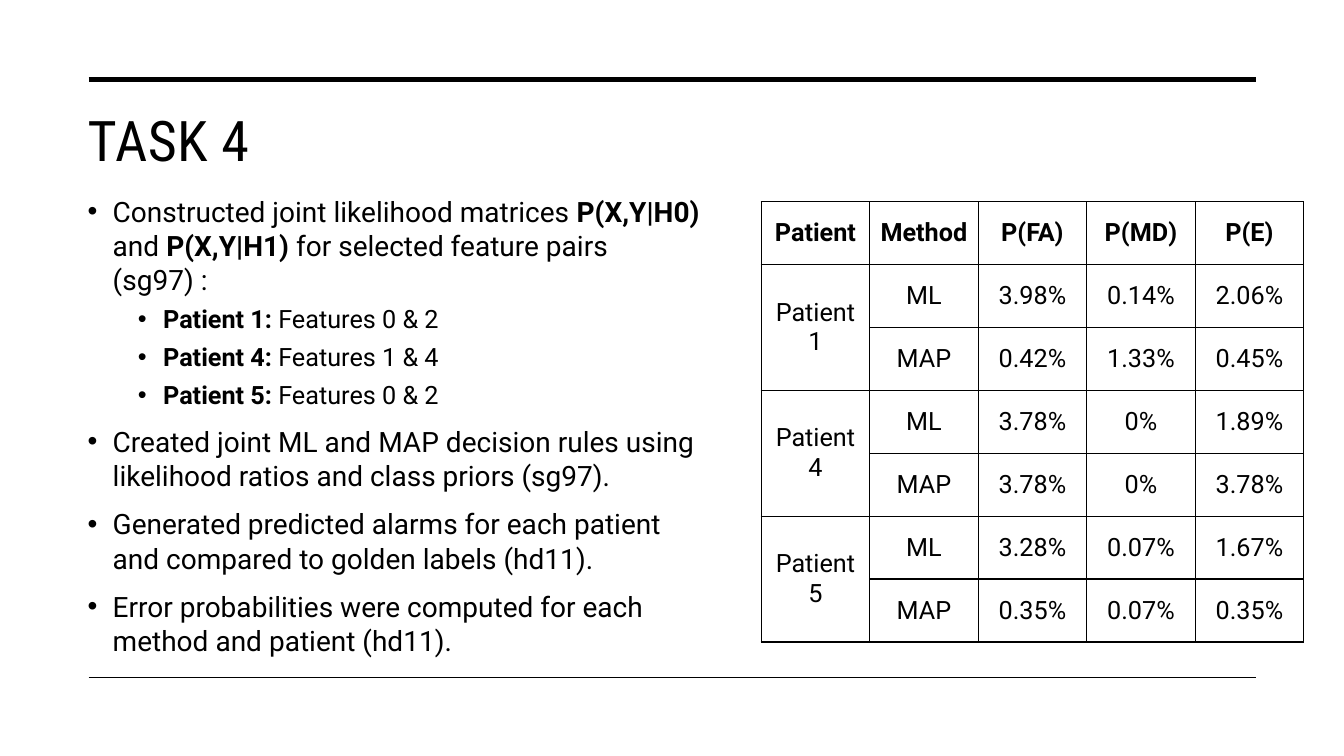
from pptx import Presentation
from pptx.dml.color import RGBColor
from pptx.enum.shapes import MSO_CONNECTOR
from pptx.enum.text import MSO_ANCHOR, PP_ALIGN
from pptx.oxml.ns import qn
from pptx.util import Inches, Pt
from lxml.etree import SubElement

BLACK = RGBColor(0, 0, 0)
WHITE = RGBColor(255, 255, 255)


def style(run, size, bold=False, face="Roboto"):
    run.font.name = face
    run.font.size = Pt(size)
    run.font.bold = bold
    run.font.color.rgb = BLACK


deck = Presentation()
deck.slide_width = Inches(13.33)
deck.slide_height = Inches(7.5)
slide = deck.slides.add_slide(deck.slide_layouts[5])

for y, width in [(0.79, 3.5), (6.72, 1)]:
    rule = slide.shapes.add_connector(
        MSO_CONNECTOR.STRAIGHT, Inches(0.88), Inches(y), Inches(12.46), Inches(y))
    rule.line.color.rgb = BLACK
    rule.line.width = Pt(width)
    SubElement(rule._element.spPr, qn("a:effectLst"))

title = slide.shapes.title
title.left, title.top = Inches(0.77), Inches(1)
title.width, title.height = Inches(11.69), Inches(1.43)
frame = title.text_frame
frame.text = "TASK 4"
frame.vertical_anchor = MSO_ANCHOR.TOP
head = frame.paragraphs[0]
head.alignment = PP_ALIGN.LEFT
style(head.runs[0], 40, face="Roboto Condensed")
head.runs[0]._r.get_or_add_rPr().set("spc", "30")

points = [
    (0, ["Constructed joint likelihood matrices ", "P(X,Y|H0)", " and ",
         "P(X,Y|H1)", " for selected feature pairs (sg97) :"]),
    (1, ["", "Patient 1:", " Features 0 & 2"]),
    (1, ["", "Patient 4:", " Features 1 & 4"]),
    (1, ["", "Patient 5:", " Features 0 & 2"]),
    (0, ["Created joint ML and MAP decision rules using likelihood ratios "
         "and class priors (sg97)."]),
    (0, ["Generated predicted alarms for each patient and compared to "
         "golden labels (hd11)."]),
    (0, ["Error probabilities were computed for each method and patient (hd11)."]),
]
body = slide.shapes.add_textbox(Inches(0.77), Inches(1.87), Inches(6.37), Inches(4.65))
frame = body.text_frame
frame.word_wrap = True
for i, (level, parts) in enumerate(points):
    para = frame.paragraphs[0] if i == 0 else frame.add_paragraph()
    para.level = level
    para.space_before = Pt(5 if level else 10)
    para.line_spacing = 1.02
    props = para._p.get_or_add_pPr()
    props.set("marL", str(Inches(0.75 if level else 0.25)))
    props.set("indent", str(Inches(-0.25)))
    SubElement(props, qn("a:buFont")).set("typeface", "Arial")
    SubElement(props, qn("a:buChar")).set("char", "•")
    for j, part in enumerate(parts):
        if part:
            run = para.add_run()
            run.text = part
            style(run, 18 if level else 20, bold=j % 2 == 1)

rows = [
    ["Patient", "Method", "P(FA)", "P(MD)", "P(E)"],
    ["Patient 1", "ML", "3.98%", "0.14%", "2.06%"],
    ["", "MAP", "0.42%", "1.33%", "0.45%"],
    ["Patient 4", "ML", "3.78%", "0%", "1.89%"],
    ["", "MAP", "3.78%", "0%", "3.78%"],
    ["Patient 5", "ML", "3.28%", "0.07%", "1.67%"],
    ["", "MAP", "0.35%", "0.07%", "0.35%"],
]
table = slide.shapes.add_table(
    len(rows), len(rows[0]), Inches(7.55), Inches(2), Inches(5.38), Inches(4.37)).table
for r, row in enumerate(rows):
    for c, text in enumerate(row):
        cell = table.cell(r, c)
        cell.text = text
        cell.vertical_anchor = MSO_ANCHOR.MIDDLE
        para = cell.text_frame.paragraphs[0]
        para.alignment = PP_ALIGN.CENTER
        for run in para.runs:
            style(run, 18, bold=r == 0)
        props = cell._tc.get_or_add_tcPr()
        for side in ["lnL", "lnR", "lnT", "lnB"]:
            edge = SubElement(props, qn("a:" + side), w=str(Pt(1)))
            paint = SubElement(edge, qn("a:solidFill"))
            SubElement(paint, qn("a:srgbClr")).set("val", str(BLACK))
        cell.fill.solid()
        cell.fill.fore_color.rgb = WHITE
for r in range(1, len(rows), 2):
    table.cell(r, 0).merge(table.cell(r + 1, 0))

deck.save("out.pptx")
